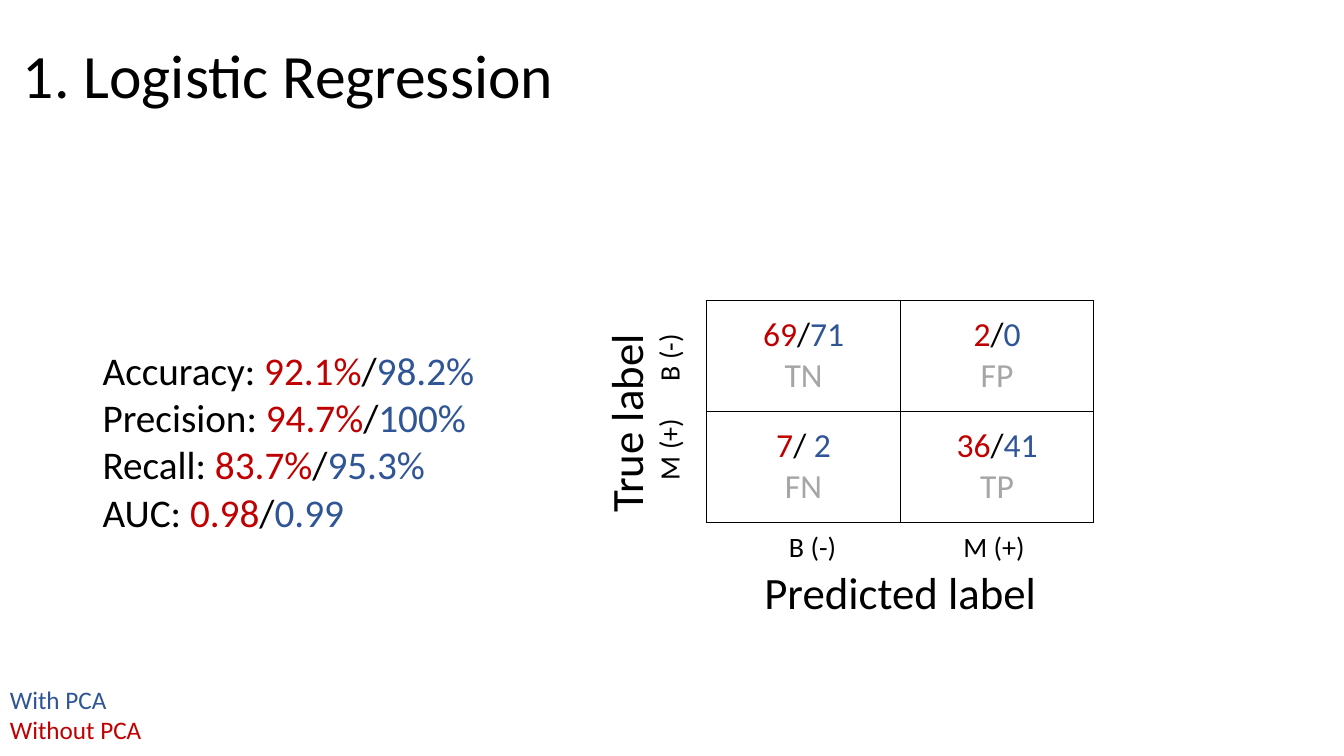
from lxml import etree
from pptx import Presentation
from pptx.dml.color import RGBColor
from pptx.enum.text import MSO_ANCHOR, PP_ALIGN
from pptx.oxml.ns import qn
from pptx.util import Inches, Pt

LEFT, CENTER = PP_ALIGN.LEFT, PP_ALIGN.CENTER
TOP, MIDDLE = MSO_ANCHOR.TOP, MSO_ANCHOR.MIDDLE

FONT = "Calibri"
BLACK, WHITE, GREY = "000000", "FFFFFF", "A6A6A6"
WITHOUT_PCA, WITH_PCA = "C00000", "2F5597"

TITLE = "1. Logistic Regression"
METRICS = [
    ("Accuracy: ", "92.1%", "98.2%"),
    ("Precision: ", "94.7%", "100%"),
    ("Recall: ", "83.7%", "95.3%"),
    ("AUC: ", "0.98", "0.99"),
]
# without PCA, separator, with PCA, outcome
CONFUSION = [
    [("69", "/", "71", "TN"), ("2", "/", "0", "FP")],
    [("7", "/ ", "2", "FN"), ("36", "/", "41", "TP")],
]
# text, centre x, centre y, width, size, rotation
AXIS_LABELS = [
    ("B (-)", 8.06, 5.42, 1, 20, 0),
    ("M (+)", 9.86, 5.42, 1, 20, 0),
    ("Predicted label", 8.93, 5.87, 3.3, 32, 0),
    ("True label", 6.2, 4.2, 2.4, 32, 270),
    ("M (+)", 6.63, 4.46, 1, 20, 270),
    ("B (-)", 6.63, 3.55, 1, 20, 270),
]
LABEL_H = 0.6
LEGEND = [("With PCA", WITH_PCA), ("Without PCA", WITHOUT_PCA)]

TABLE_X, TABLE_Y, COL_W, ROW_H = 7.01, 2.98, 1.92, 1.1


def rgb(value):
    return RGBColor.from_string(value)


def scores(without, separator, with_pca):
    return [(without, WITHOUT_PCA), (separator, BLACK), (with_pca, WITH_PCA)]


def write(tf, lines, size, align=LEFT, spacing=1.0):
    """Fill a text frame; each line is a list of (text, colour) runs."""
    for i, runs in enumerate(lines):
        p = tf.paragraphs[0] if i == 0 else tf.add_paragraph()
        p.alignment, p.line_spacing = align, spacing
        for text, color in runs:
            r = p.add_run()
            r.text = text
            for name, value in {"name": FONT, "size": Pt(size)}.items():
                setattr(r.font, name, value)
            r.font.color.rgb = rgb(color)


def add_text(slide, box, lines, size, align=LEFT, anchor=TOP, spacing=1.0):
    sp = slide.shapes.add_textbox(*map(Inches, box))
    tf = sp.text_frame
    tf.word_wrap, tf.vertical_anchor = True, anchor
    write(tf, lines, size, align, spacing)
    return sp


def add_borders(cell, color):
    tc_pr = cell._tc.get_or_add_tcPr()
    for i, side in enumerate(("lnL", "lnR", "lnT", "lnB")):
        ln = etree.Element(qn(f"a:{side}"), w=str(Pt(1)))
        fill = etree.SubElement(ln, qn("a:solidFill"))
        etree.SubElement(fill, qn("a:srgbClr"), val=color)
        tc_pr.insert(i, ln)


def add_confusion_matrix(slide):
    rows, cols = len(CONFUSION), len(CONFUSION[0])
    box = TABLE_X, TABLE_Y, cols * COL_W, rows * ROW_H
    table = slide.shapes.add_table(rows, cols, *map(Inches, box)).table
    table.first_row = table.horz_banding = False
    for i, row in enumerate(CONFUSION):
        for j, (without, separator, with_pca, outcome) in enumerate(row):
            cell = table.cell(i, j)
            cell.vertical_anchor = MIDDLE
            cell.fill.solid()
            cell.fill.fore_color.rgb = rgb(WHITE)
            add_borders(cell, BLACK)
            lines = [scores(without, separator, with_pca), [(outcome, GREY)]]
            write(cell.text_frame, lines, 24, CENTER)


def main():
    prs = Presentation()
    prs.slide_width, prs.slide_height = Inches(13.33), Inches(7.5)
    slide = prs.slides.add_slide(prs.slide_layouts[6])

    add_text(slide, (0.13, 0.05, 11.5, 1.45), [[(TITLE, BLACK)]], 44,
             anchor=MIDDLE, spacing=0.9)
    metrics = [[(name, BLACK)] + scores(without, "/", with_pca)
               for name, without, with_pca in METRICS]
    add_text(slide, (0.92, 3.39, 5, 2), metrics, 28)
    add_confusion_matrix(slide)

    for text, x, y, w, size, rotation in AXIS_LABELS:
        box = x - w / 2, y - LABEL_H / 2, w, LABEL_H
        sp = add_text(slide, box, [[(text, BLACK)]], size, CENTER, MIDDLE)
        sp.rotation = rotation

    add_text(slide, (0, 6.74, 2.96, 0.71), [[item] for item in LEGEND], 18)
    prs.save("out.pptx")


if __name__ == "__main__":
    main()
